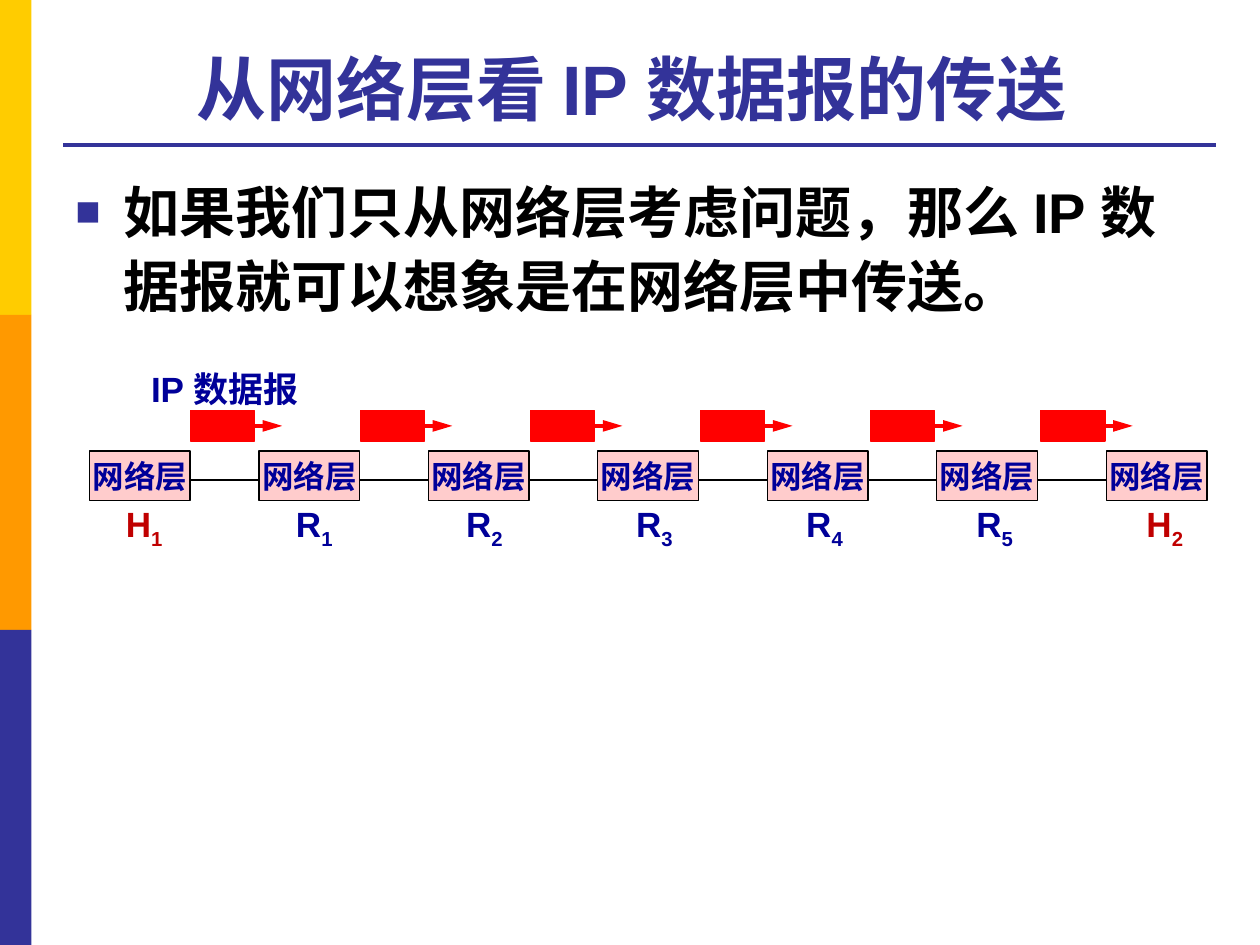
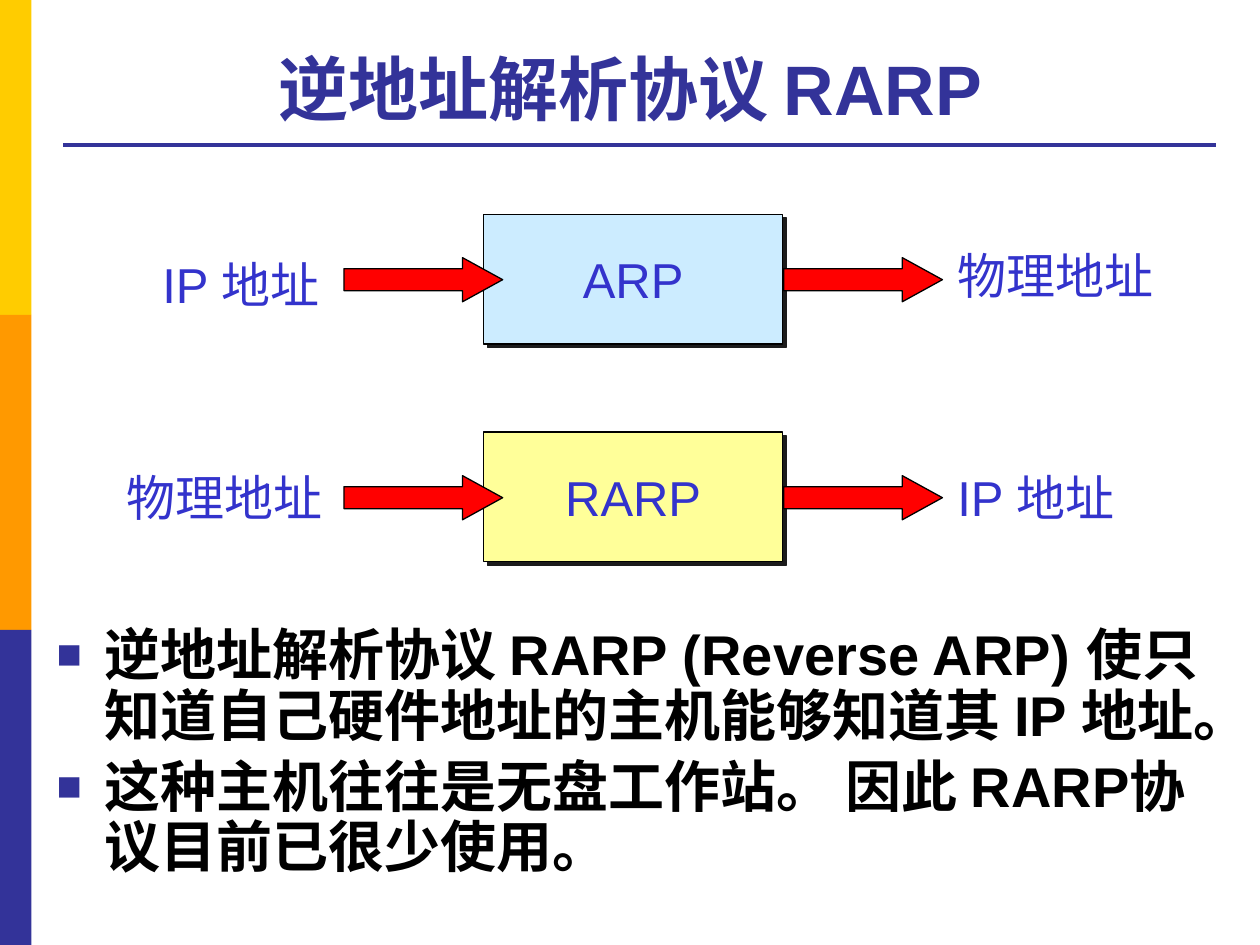
from dataclasses import dataclass

from lxml import etree
from pptx import Presentation
from pptx.dml.color import RGBColor
from pptx.enum.shapes import MSO_CONNECTOR as Connector
from pptx.enum.shapes import MSO_SHAPE as Preset
from pptx.enum.text import MSO_ANCHOR as Anchor
from pptx.enum.text import MSO_AUTO_SIZE as AutoSize
from pptx.enum.text import PP_ALIGN as Align
from pptx.oxml.ns import qn
from pptx.util import Inches, Pt


@dataclass(frozen=True)
class Theme:
    font: str = "Arial"
    bands: tuple = ("FFCC00", "FF9900", "333399")
    accent: str = "333399"
    body: str = "000000"
    outline: str = "000000"
    red: str = "FF0000"
    layer_fill: str = "FFCCCC"
    layer_text: str = "000099"
    host_text: str = "C00000"
    protocol_text: str = "3333CC"
    arp_fill: str = "CCECFF"
    rarp_fill: str = "FFFF99"
    shadow: str = "1C1C1C"
    title_size: int = 40
    body_size: int = 32
    protocol_size: int = 28
    label_size: int = 20
    layer_size: int = 18
    thin: float = 0.75
    thick: float = 2.25


THEME = Theme()


def rgb(color):
    return RGBColor.from_string(color)


def add_xml(parent, tag, **attributes):
    return etree.SubElement(parent, qn(tag), {key: str(value) for key, value in attributes.items()})


def format_text(text_frame, size, color, bold=False, align=Align.LEFT):
    for paragraph in text_frame.paragraphs:
        paragraph.alignment = align
        for run in paragraph.runs:
            font = run.font
            font.name, font.size, font.bold = THEME.font, Pt(size), bold
            font.color.rgb = rgb(color)


def add_block(slide, preset, left, top, width, height, fill, outline=None):
    shape = slide.shapes.add_shape(preset, Inches(left), Inches(top), Inches(width), Inches(height))
    shape.shadow.inherit = False
    shape.fill.solid()
    shape.fill.fore_color.rgb = rgb(fill)
    if outline:
        shape.line.color.rgb = rgb(outline)
        shape.line.width = Pt(THEME.thin)
    else:
        shape.line.fill.background()
    return shape


def add_captioned_box(slide, caption, left, top, width, height, fill, size, color, bold=False):
    box = add_block(slide, Preset.RECTANGLE, left, top, width, height, fill, THEME.outline)
    box.text_frame.text = caption
    box.text_frame.word_wrap = False
    box.text_frame.vertical_anchor = Anchor.MIDDLE
    format_text(box.text_frame, size, color, bold, Align.CENTER)
    return box


def add_line(slide, start_x, end_x, y, color, width, arrow=False):
    line = slide.shapes.add_connector(
        Connector.STRAIGHT, Inches(start_x), Inches(y), Inches(end_x), Inches(y))
    line.line.color.rgb = rgb(color)
    line.line.width = Pt(width)
    if arrow:
        add_xml(line.line._get_or_add_ln(), "a:tailEnd", type="triangle", w="med", len="lg")
    add_xml(line._element.spPr, "a:effectLst")


def add_label(slide, text, left, top, width, height, size, color, bold=False, wrap=False):
    label = slide.shapes.add_textbox(Inches(left), Inches(top), Inches(width), Inches(height))
    label.text_frame.text = text
    label.text_frame.word_wrap = wrap
    format_text(label.text_frame, size, color, bold)
    return label


def add_node_name(slide, letter, number, left, top, color):
    label = add_label(slide, letter, left, top, 0.51, 0.44, THEME.label_size, color, True)
    subscript = label.text_frame.paragraphs[0].add_run()
    subscript.text = str(number)
    format_text(label.text_frame, THEME.label_size, color, True)
    subscript.font._element.set("baseline", "-25000")


def add_hard_shadow(shape):
    effects = shape._element.spPr.find(qn("a:effectLst"))
    shadow = add_xml(effects, "a:outerShdw", dist=Pt(2.8), dir=45 * 60000, algn="ctr", rotWithShape=0)
    add_xml(shadow, "a:srgbClr", val=THEME.shadow)


def add_bullets(slide, texts, left, top, width, height, line_spacing):
    box = slide.shapes.add_textbox(Inches(left), Inches(top), Inches(width), Inches(height))
    text_frame = box.text_frame
    text_frame.word_wrap = True
    text_frame.text = "\n".join(texts)
    format_text(text_frame, THEME.body_size, THEME.body, True)
    for paragraph in text_frame.paragraphs:
        paragraph.line_spacing = line_spacing
        paragraph.space_before = Pt(6)
        properties = paragraph._p.get_or_add_pPr()
        properties.set("marL", str(Inches(0.38)))
        properties.set("indent", str(-Inches(0.38)))
        add_xml(add_xml(properties, "a:buClr"), "a:srgbClr", val=THEME.accent)
        add_xml(properties, "a:buSzPct", val=75000)
        add_xml(properties, "a:buFont", typeface=THEME.font)
        add_xml(properties, "a:buChar", char="■")


def add_titled_slide(presentation, text):
    """Add a slide with the side bands, the title and the rule below it."""
    slide = presentation.slides.add_slide(presentation.slide_layouts[5])
    for index, color in enumerate(THEME.bands):
        add_block(slide, Preset.RECTANGLE, 0, 2.5 * index, 0.25, 2.5, color)
    add_line(slide, 0.5, 9.65, 1.15, THEME.accent, THEME.thick)
    title = slide.shapes.title
    title.left, title.top, title.width, title.height = map(Inches, (0.5, 0.21, 9.15, 0.87))
    title.text_frame.text = text
    title.text_frame.auto_size = AutoSize.NONE
    title.text_frame.vertical_anchor = Anchor.BOTTOM
    format_text(title.text_frame, THEME.title_size, THEME.accent, True, Align.CENTER)
    return slide


def add_network_path(slide):
    """Draw hosts and routers in a row, with a datagram on each hop."""
    nodes = [("H", 1), *(("R", number) for number in range(1, 6)), ("H", 2)]
    pitch = 1.35
    add_line(slide, 1.29, 9.07, 3.81, THEME.outline, THEME.thin)
    add_label(slide, "IP 数据报", 1.1, 2.87, 1.39, 0.44,
              THEME.label_size, THEME.layer_text, True, wrap=True)
    for index, (letter, number) in enumerate(nodes):
        add_captioned_box(slide, "网络层", 0.71 + 1.345 * index, 3.58, 0.8, 0.39,
                          THEME.layer_fill, THEME.layer_size, THEME.layer_text, True)
        color = THEME.host_text if letter == "H" else THEME.layer_text
        add_node_name(slide, letter, number, 0.9 + pitch * index, 3.94, color)
    for hop in range(len(nodes) - 1):
        left = 1.51 + pitch * hop
        add_block(slide, Preset.RECTANGLE, left, 3.26, 0.51, 0.24, THEME.red, THEME.red)
        add_line(slide, left + 0.43, left + 0.73, 3.38, THEME.red, THEME.thick, arrow=True)


def add_protocol_row(slide, protocol, top, fill, source, target):
    """Draw source, protocol box and target; each end is (text, left, top, width, wrap)."""
    box = add_captioned_box(slide, protocol, 3.84, top, 2.37, 1.03, fill,
                            THEME.protocol_size, THEME.protocol_text)
    add_hard_shadow(box)
    for arrow_left in (2.73, 6.22):
        arrow = add_block(slide, Preset.RIGHT_ARROW, arrow_left, top + 0.345, 1.26, 0.35,
                          THEME.red, THEME.outline)
        arrow.adjustments[1] = 0.91
    for text, left, label_top, width, wrap in (source, target):
        add_label(slide, text, left, label_top, width, 0.57,
                  THEME.protocol_size, THEME.protocol_text, wrap=wrap)


def main():
    presentation = Presentation()
    presentation.slide_width, presentation.slide_height = Inches(10), Inches(7.5)

    network = add_titled_slide(presentation, "从网络层看 IP 数据报的传送 ")
    add_bullets(network, ["如果我们只从网络层考虑问题，那么 IP 数据报就可以想象是在网络层中传送。"],
                0.5, 1.31, 9.15, 5.4, 1.1)
    add_network_path(network)

    reverse = add_titled_slide(presentation, "逆地址解析协议 RARP ")
    add_bullets(reverse, [
        "逆地址解析协议 RARP (Reverse ARP) 使只知道自己硬件地址的主机能够知道其 IP 地址。",
        "这种主机往往是无盘工作站。 因此 RARP协议目前已很少使用。",
    ], 0.35, 4.93, 9.45, 1.97, 0.9)
    add_protocol_row(reverse, "ARP", 1.7, THEME.arp_fill,
                     ("IP 地址", 1.19, 1.97, 1.45, True), ("物理地址", 7.5, 1.9, 1.76, False))
    add_protocol_row(reverse, "RARP", 3.43, THEME.rarp_fill,
                     ("物理地址", 0.91, 3.66, 1.76, False), ("IP 地址", 7.5, 3.66, 1.45, True))

    presentation.save("out.pptx")


if __name__ == "__main__":
    main()
